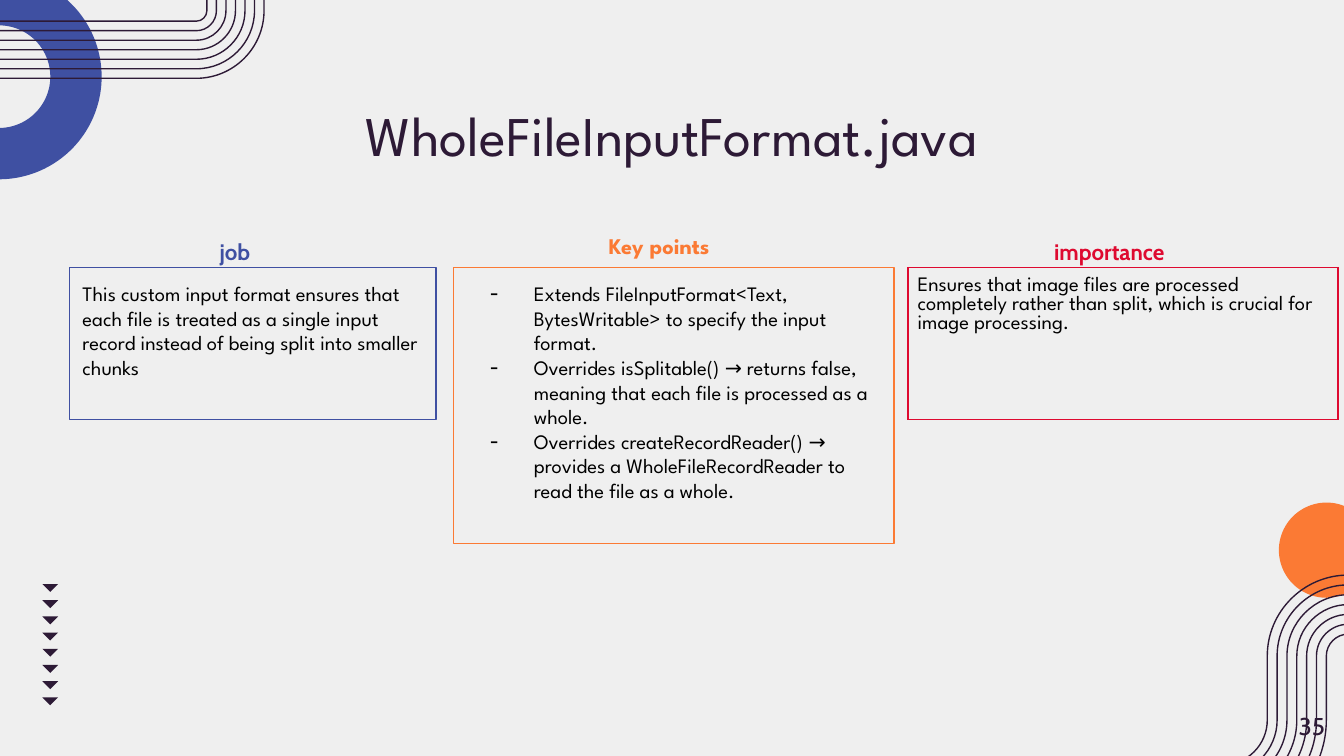
from lxml.etree import SubElement
from pptx import Presentation
from pptx.dml.color import RGBColor
from pptx.enum.shapes import MSO_SHAPE
from pptx.enum.text import MSO_ANCHOR, PP_ALIGN
from pptx.oxml.ns import qn
from pptx.util import Cm, Pt

COLORS = {
    "paper": "EFEFEF",
    "ink": "2D1A36",
    "blue": "3F50A2",
    "orange": "FB7A34",
    "red": "DE0A30",
    "black": "000000",
}
SPARTAN, CABIN = "League Spartan", "Cabin"
STRIPES = 7
ROUND = 0.55


def rgb(color):
    return RGBColor.from_string(COLORS[color])


def fill_solid(solid, color):
    solid.shadow.inherit = False
    solid.fill.solid()
    solid.fill.fore_color.rgb = rgb(color)
    solid.line.fill.background()


def add_solid(slide, kind, left, top, width, height, color):
    solid = slide.shapes.add_shape(kind, Cm(left), Cm(top), Cm(width), Cm(height))
    fill_solid(solid, color)
    return solid


def draw_outline(slide, points, close):
    points = [(Cm(x), Cm(y)) for x, y in points]
    builder = slide.shapes.build_freeform(*points[0])
    builder.add_line_segments(points[1:], close=close)
    return builder.convert_to_shape()


def add_triangle(slide, left, top):
    corners = [(left, top), (left + 0.3, top), (left + 0.15, top + 0.15)]
    fill_solid(draw_outline(slide, corners, True), "ink")


def turn_back(points, rotation):
    xs, ys = zip(*points)
    mid_x, mid_y = (min(xs) + max(xs)) / 2, (min(ys) + max(ys)) / 2
    if rotation == 90:
        return [(mid_x + y - mid_y, mid_y - x + mid_x) for x, y in points]
    return [(2 * mid_x - x, 2 * mid_y - y) for x, y in points]


def bend(start, corner, end):
    controls = [tuple(p + ROUND * (c - p) for p, c in zip(point, corner))
                for point in (start, end)]
    return [start, *controls, end]


def add_stripe(slide, start, first_bend, second_bend, rotation):
    points = turn_back([start, *first_bend, *second_bend], rotation)
    stripe = draw_outline(slide, points, False)
    segments = list(stripe._element.find(".//" + qn("a:path")))
    for first in (2, 6):
        curve = segments[first]
        curve.tag = qn("a:cubicBezTo")
        for line in segments[first + 1:first + 3]:
            curve.append(line[0])
            line.getparent().remove(line)
    stripe.rotation = rotation
    stripe.shadow.inherit = False
    stripe.fill.background()
    stripe.line.color.rgb = rgb("ink")
    stripe.line.width = Pt(0.75)


def add_top_stripes(slide):
    x, low, high = 3.71, 0.2, -2.24
    for index in range(STRIPES):
        radius = 0.2 + 0.18 * index
        right, bottom, top = x + radius, low + radius, high - radius
        add_stripe(slide, (-0.08, bottom),
                   bend((x, bottom), (right, bottom), (right, low)),
                   bend((right, high), (right, top), (x, top)), 90)


def add_bottom_stripes(slide):
    lower_x, lower_y, upper_x, upper_y = 23.1, 13.61, 25.48, 12.4
    for index in range(STRIPES):
        radius = 0.85 + 0.186 * index
        middle, bottom = lower_x + radius, lower_y + radius
        top = upper_y - (upper_x - middle)
        add_stripe(slide, (22.25, bottom),
                   bend((lower_x, bottom), (middle, bottom), (middle, lower_y)),
                   bend((middle, upper_y), (middle, top), (upper_x, top)), 180)


def add_decoration(slide):
    add_solid(slide, MSO_SHAPE.OVAL, 24.17, 9.5, 1.8, 1.8, "orange")
    ring = add_solid(slide, MSO_SHAPE.BLOCK_ARC, -1.96, -0.49, 3.88, 3.88, "blue")
    ring.rotation = 90
    for index in reversed(range(8)):
        add_triangle(slide, 0.8, 11.04 + 0.306 * index)
    add_top_stripes(slide)
    add_bottom_stripes(slide)


def style(paragraph, size, font, color, bold=False, align=PP_ALIGN.LEFT):
    paragraph.alignment = align
    paragraph.font.size = Pt(size)
    paragraph.font.name = font
    paragraph.font.bold = bold
    paragraph.font.color.rgb = rgb(color)


def set_margins(frame, margin):
    frame.margin_left = frame.margin_right = Cm(margin)
    frame.margin_top = frame.margin_bottom = Cm(margin)
    frame.vertical_anchor = MSO_ANCHOR.TOP


def add_label(slide, text, left, top, width, height, size, font, color,
              bold=False, align=PP_ALIGN.CENTER):
    label = slide.shapes.add_textbox(Cm(left), Cm(top), Cm(width), Cm(height))
    frame = label.text_frame
    frame.word_wrap = True
    set_margins(frame, 0.25)
    paragraph = frame.paragraphs[0]
    paragraph.text = text
    style(paragraph, size, font, color, bold, align)
    return paragraph


def add_dash(paragraph):
    properties = paragraph._p.get_or_add_pPr()
    properties.set("marL", str(Cm(1.27)))
    properties.set("indent", str(-Cm(0.83)))
    bullet_color = SubElement(properties, qn("a:buClr"))
    SubElement(bullet_color, qn("a:srgbClr"), val=COLORS["black"])
    SubElement(properties, qn("a:buFont"), typeface=CABIN)
    SubElement(properties, qn("a:buChar"), char="-")


def add_panel(slide, texts, left, width, height, color, dashed=False):
    panel = slide.shapes.add_shape(MSO_SHAPE.RECTANGLE, Cm(left), Cm(5.06),
                                   Cm(width), Cm(height))
    panel.shadow.inherit = False
    panel.fill.background()
    panel.line.color.rgb = rgb(color)
    panel.line.width = Pt(0.75)
    frame = panel.text_frame
    frame.word_wrap = True
    set_margins(frame, 0.25)
    for index, text in enumerate(texts):
        paragraph = frame.add_paragraph() if index else frame.paragraphs[0]
        paragraph.text = text
        if dashed:
            add_dash(paragraph)
        style(paragraph, 11, SPARTAN, "black")


def add_importance_table(slide, text):
    table = slide.shapes.add_table(1, 1, Cm(17.16), Cm(5.06), Cm(8.13), Cm(2.87)).table
    table.first_row = table.horz_banding = False
    cell = table.cell(0, 0)
    set_margins(cell, 0.18)
    cell.text = text
    style(cell.text_frame.paragraphs[0], 11, SPARTAN, "black")
    properties = cell._tc.get_or_add_tcPr()
    for side in ("lnL", "lnR", "lnT", "lnB"):
        border = SubElement(properties, qn(f"a:{side}"), w=str(Pt(1)))
        fill = SubElement(border, qn("a:solidFill"))
        SubElement(fill, qn("a:srgbClr"), val=COLORS["red"])
    cell.fill.background()


def main():
    presentation = Presentation()
    presentation.slide_width, presentation.slide_height = Cm(25.4), Cm(14.29)
    slide = presentation.slides.add_slide(presentation.slide_layouts[6])
    slide.background.fill.solid()
    slide.background.fill.fore_color.rgb = rgb("paper")

    add_decoration(slide)
    title = add_label(slide, "WholeFileInputFormat.java", 2, 1.47, 21.4, 1.6,
                      30, SPARTAN, "ink")
    title.line_spacing = 1.15
    add_label(slide, "35", 23.77, 13.19, 1.52, 1.09, 13, CABIN, "ink",
              align=PP_ALIGN.RIGHT)

    add_panel(slide, [
        "This custom input format ensures that each file is treated as a single "
        "input record instead of being split into smaller chunks",
    ], 1.31, 6.93, 2.87, "blue")
    add_panel(slide, [
        "Extends FileInputFormat<Text, BytesWritable> to specify the input format.",
        "Overrides isSplitable() → returns false, meaning that each file is "
        "processed as a whole.",
        "Overrides createRecordReader() → provides a WholeFileRecordReader to "
        "read the file as a whole.",
    ], 8.57, 8.33, 5.21, "orange", dashed=True)
    add_importance_table(
        slide, "Ensures that image files are processed completely rather than "
        "split, which is crucial for image processing.")

    add_label(slide, "importance", 18.82, 4.25, 4.29, 0.66, 12, CABIN, "red", True)
    add_label(slide, "job", 3.07, 4.25, 2.74, 0.66, 12, CABIN, "blue", True)
    add_label(slide, "Key points", 9.22, 4.14, 6.48, 0.76, 12, SPARTAN, "orange", True)
    presentation.save("out.pptx")


if __name__ == "__main__":
    main()
